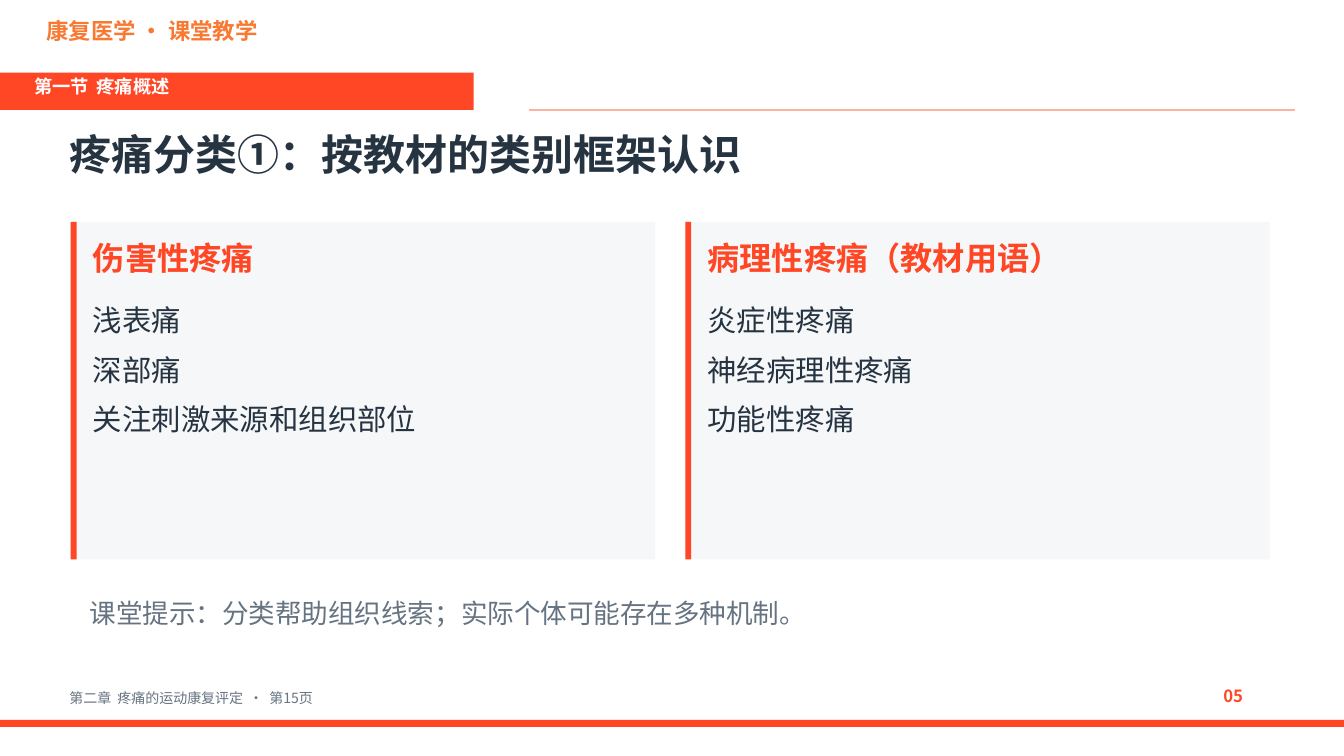
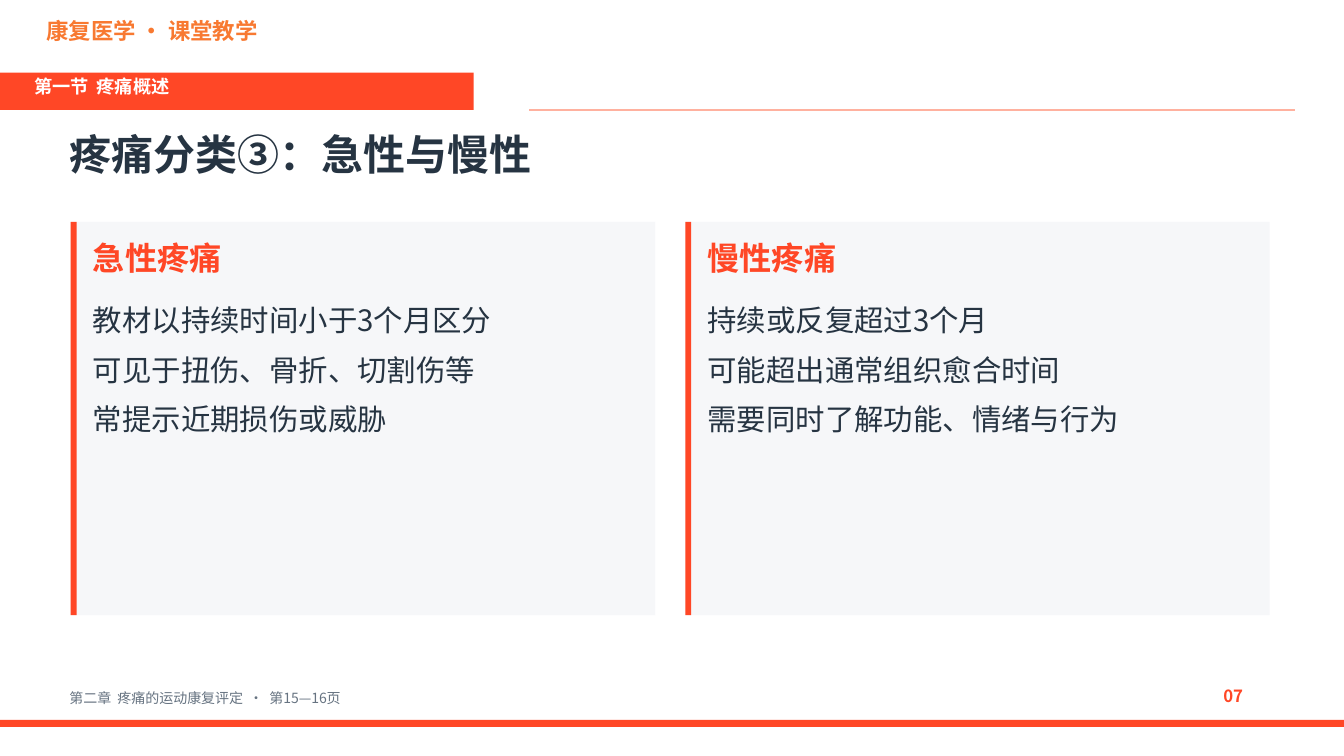
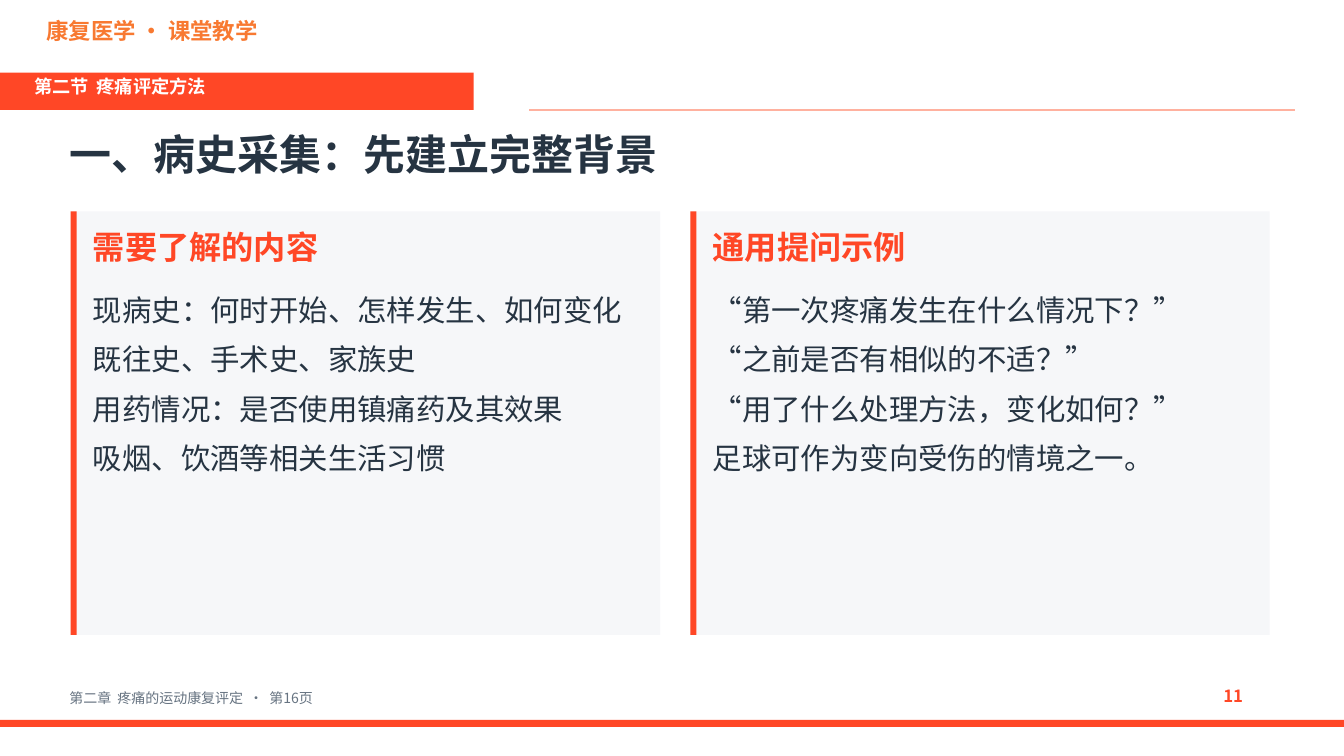
from lxml import etree
from pptx import Presentation
from pptx import util as u
from pptx.dml.color import RGBColor
from pptx.enum import shapes, text
from pptx.oxml.ns import qn

BRAND = "康复医学 · 课堂教学"
CHAPTER = "第二章  疼痛的运动康复评定  ·  第{}页"
OVERVIEW = "第一节  疼痛概述"
SLIDES = [
    dict(
        section=OVERVIEW, number="05", pages="15",
        title="疼痛分类①：按教材的类别框架认识",
        top=5.59, height=8.51, first_width=14.73,
        cards=[
            ("伤害性疼痛", ["浅表痛", "深部痛", "关注刺激来源和组织部位"]),
            ("病理性疼痛（教材用语）", ["炎症性疼痛", "神经病理性疼痛", "功能性疼痛"]),
        ],
        note="课堂提示：分类帮助组织线索；实际个体可能存在多种机制。",
    ),
    dict(
        section=OVERVIEW, number="07", pages="15—16",
        title="疼痛分类③：急性与慢性",
        top=5.59, height=9.91, first_width=14.73,
        cards=[
            ("急性疼痛", ["教材以持续时间小于3个月区分", "可见于扭伤、骨折、切割伤等",
                      "常提示近期损伤或威胁"]),
            ("慢性疼痛", ["持续或反复超过3个月", "可能超出通常组织愈合时间",
                      "需要同时了解功能、情绪与行为"]),
        ],
    ),
    dict(
        section="第二节  疼痛评定方法", number="11", pages="16",
        title="一、病史采集：先建立完整背景",
        top=5.33, height=10.67, first_width=14.86,
        cards=[
            ("需要了解的内容", ["现病史：何时开始、怎样发生、如何变化", "既往史、手术史、家族史",
                         "用药情况：是否使用镇痛药及其效果", "吸烟、饮酒等相关生活习惯"]),
            ("通用提问示例", ["“第一次疼痛发生在什么情况下？”", "“之前是否有相似的不适？”",
                        "“用了什么处理方法，变化如何？”", "足球可作为变向受伤的情境之一。"]),
        ],
    ),
]

COLORS = dict(red="FF4726", orange="F87931", rule="FFB19F", ink="263442",
              gray="667381", panel="F6F7F9", white="FFFFFF")
FONT = "Noto Sans CJK SC"
STYLES = dict(
    brand=(16, "orange", True), section=(13, "white", True), title=(30, "ink", True),
    heading=(23, "red", True), items=(21, "ink", False), note=(19, "gray", False),
    footer=(10, "gray", False), number=(12, "red", True),
)
FRAME = dict(word_wrap=True, auto_size=text.MSO_AUTO_SIZE.SHAPE_TO_FIT_TEXT,
             vertical_anchor=text.MSO_ANCHOR.TOP, margin_left=u.Cm(0.1),
             margin_top=u.Cm(0.05), margin_right=u.Cm(0.1), margin_bottom=0)
PARAGRAPH = dict(alignment=text.PP_ALIGN.LEFT, space_before=u.Pt(0), space_after=u.Pt(10))
WIDTH, HEIGHT = 33.87, 19.05
LEFT, RIGHT, GAP, STRIPE = 1.78, 32, 0.76, 0.15


def color(name):
    return RGBColor.from_string(COLORS[name])


def apply(obj, values):
    for name, value in values.items():
        setattr(obj, name, value)


def place(sp, box):
    apply(sp, dict(zip(("left", "top", "width", "height"), map(u.Cm, box))))


def write(sp, lines, style):
    size, ink, bold = STYLES[style]
    tf = sp.text_frame
    apply(tf, FRAME)
    for i, line in enumerate(lines):
        p = tf.add_paragraph() if i else tf.paragraphs[0]
        apply(p, PARAGRAPH)
        pPr = p._p.get_or_add_pPr()
        pPr.set("marL", "0")
        pPr.set("indent", "0")
        etree.SubElement(pPr, qn("a:buNone"))
        r = p.add_run()
        r.text = line
        apply(r.font, dict(size=u.Pt(size), bold=bold, name=FONT))
        r.font.color.rgb = color(ink)
        etree.SubElement(r.font._element, qn("a:ea"), typeface=FONT)


def add_text(s, box, line, style):
    write(s.shapes.add_textbox(*map(u.Cm, box)), [line], style)


def fill_placeholder(sp, box, lines, style):
    sp.element.getparent().append(sp.element)
    place(sp, box)
    write(sp, lines, style)


def add_rect(s, box, fill):
    sp = s.shapes.add_shape(shapes.MSO_SHAPE.RECTANGLE, *map(u.Cm, box))
    sp.shadow.inherit = False
    sp.fill.solid()
    sp.fill.fore_color.rgb = color(fill)
    sp.line.fill.background()


def add_frame(s, data):
    add_rect(s, (0, 18.14, WIDTH, 0.18), "red")
    add_text(s, (1.07, 0.38, 8.89, 1.02), BRAND, "brand")
    add_rect(s, (0, 1.83, 11.94, 0.94), "red")
    add_text(s, (0.76, 1.85, 10.67, 0.81), data["section"], "section")
    fill_placeholder(s.shapes.title, (1.65, 3.18, 30.48, 1.65), [data["title"]], "title")
    rule = s.shapes.add_connector(shapes.MSO_CONNECTOR.STRAIGHT,
                                  *map(u.Cm, (13.34, 2.77, 32.64, 2.77)))
    rule.line.color.rgb = color("rule")
    rule.line.width = u.Pt(1)
    etree.SubElement(rule.element.spPr, qn("a:effectLst"))
    add_text(s, (1.65, 17.32, 27.94, 0.58), CHAPTER.format(data["pages"]), "footer")
    add_text(s, (30.73, 17.22, 1.52, 0.76), data["number"], "number")


def add_cards(s, data):
    top, height, first = data["top"], data["height"], data["first_width"]
    second = LEFT + first + GAP
    columns = [(LEFT, first), (second, RIGHT - second)]
    holders = {sp.placeholder_format.idx: sp for sp in s.placeholders}
    for i, ((x, width), (heading, items)) in enumerate(zip(columns, data["cards"])):
        add_rect(s, (x, top, width, height), "panel")
        add_rect(s, (x, top, STRIPE, height), "red")
        inner_x, inner_width = x + 0.46, width - 0.89
        fill_placeholder(holders[2 * i + 1], (inner_x, top + 0.36, inner_width, 1.14),
                         [heading], "heading")
        fill_placeholder(holders[2 * i + 2], (inner_x, top + 1.98, inner_width, height - 2.21),
                         items, "items")


def main():
    prs = Presentation()
    prs.slide_width, prs.slide_height = u.Cm(WIDTH), u.Cm(HEIGHT)
    comparison = prs.slide_layouts.get_by_name("Comparison")
    for data in SLIDES:
        s = prs.slides.add_slide(comparison)
        add_frame(s, data)
        add_cards(s, data)
        if "note" in data:
            add_text(s, (2.16, 14.99, 29.72, 1.4), data["note"], "note")
    prs.save("out.pptx")


if __name__ == "__main__":
    main()
